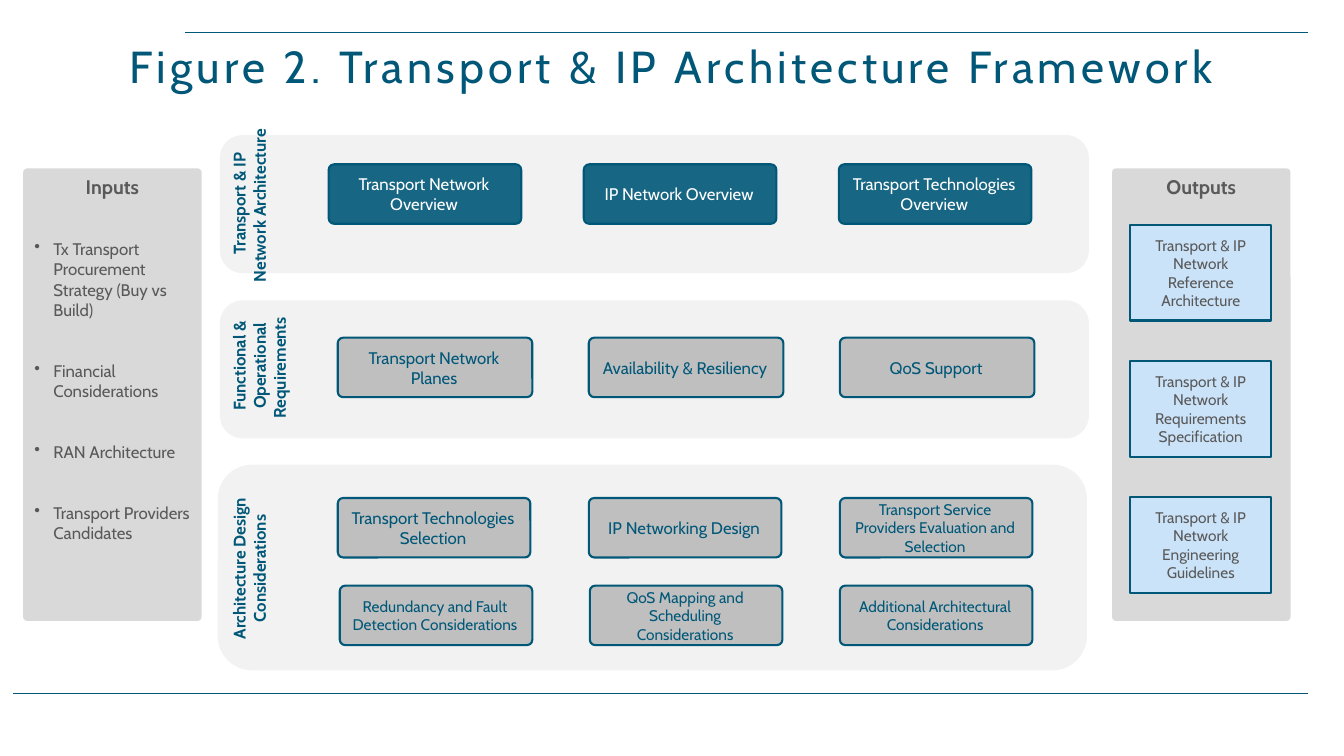
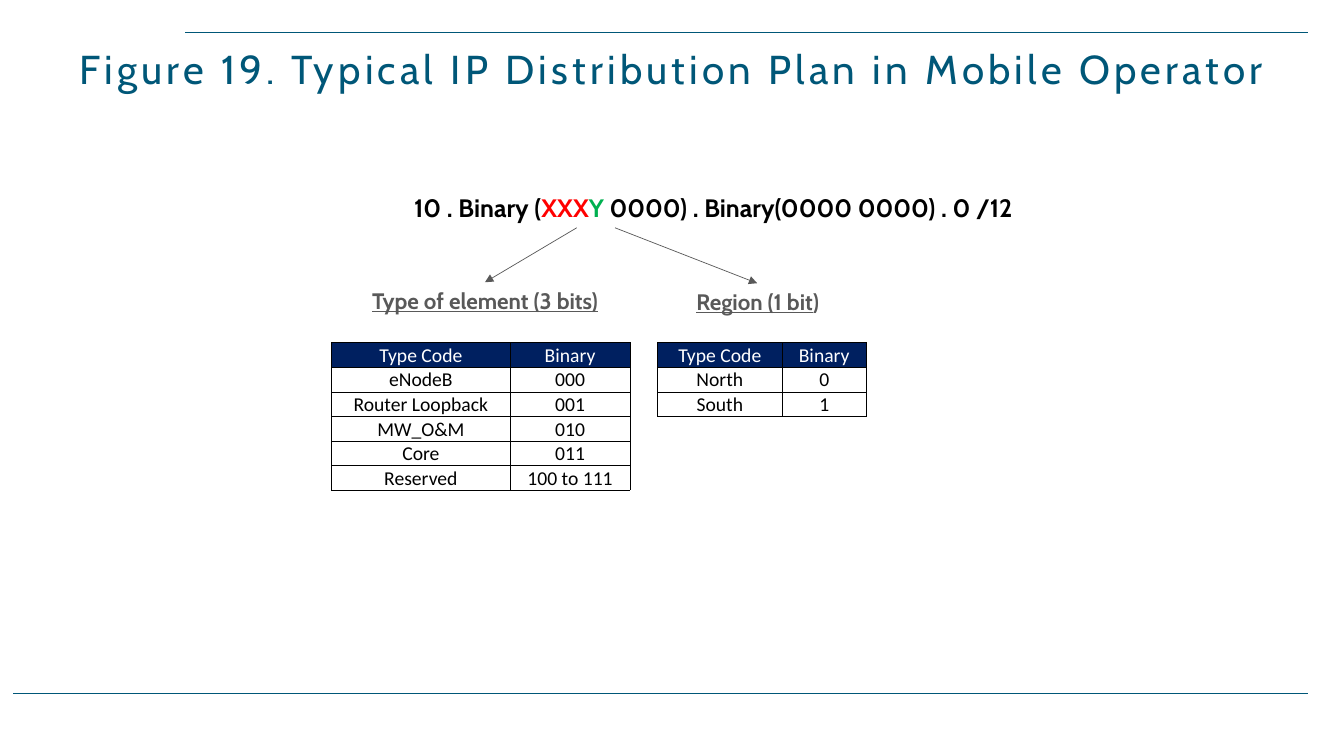
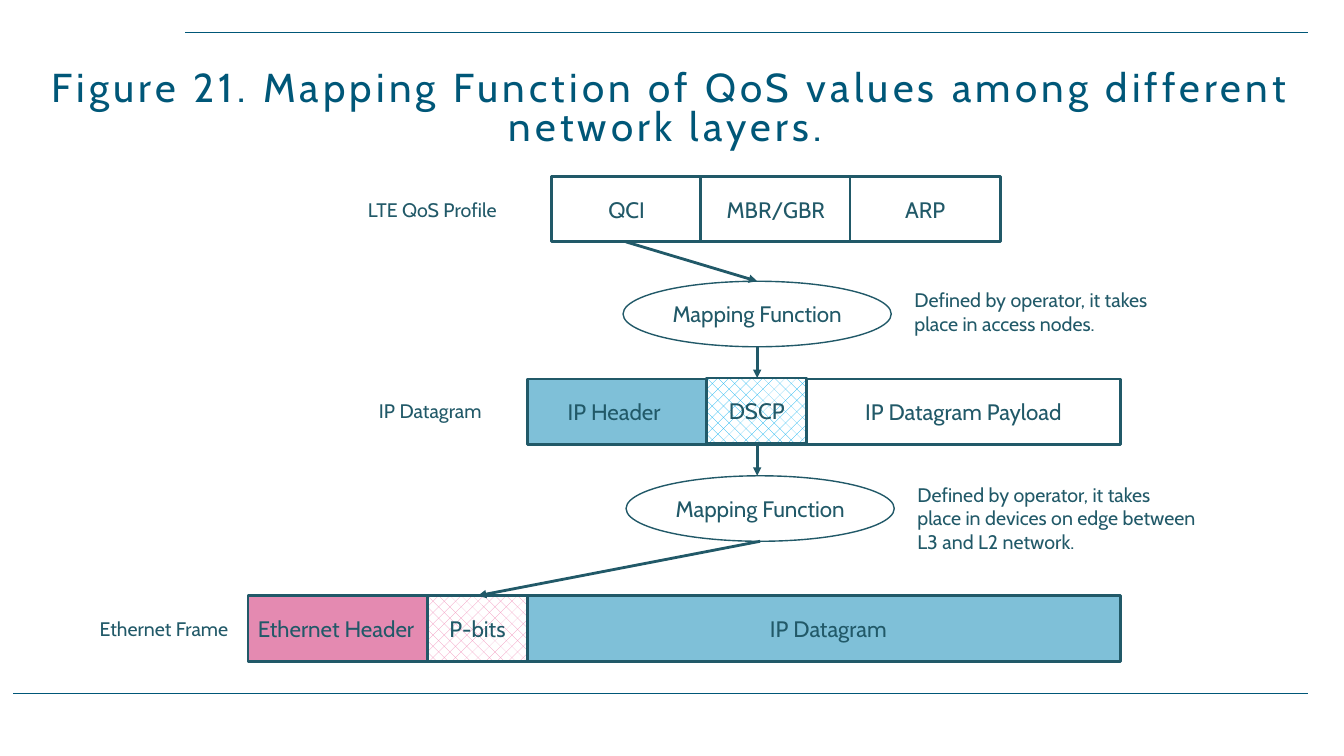
"""Build three slides on transport and IP network architecture."""
from lxml import etree
from pptx import Presentation, util as u
from pptx.dml.color import RGBColor
from pptx.enum import dml, shapes, text
from pptx.oxml.ns import qn

COLORS = {
    "teal": "005778", "ink": "215968", "gray": "595959", "panel": "D9D9D9",
    "band": "F2F2F2", "box": "BFBFBF", "output": "CBE3F9", "navy": "002060",
    "white": "FFFFFF", "black": "000000", "red": "FF0000", "green": "00B050",
    "blue": "0083B3", "magenta": "CA1764", "cyan": "00AEEF", "pink": "F28EB9",
}
ALIGN = {"left": text.PP_ALIGN.LEFT, "center": text.PP_ALIGN.CENTER}
ANCHOR = {"top": text.MSO_ANCHOR.TOP, "middle": text.MSO_ANCHOR.MIDDLE,
          "bottom": text.MSO_ANCHOR.BOTTOM}
KIND = {"rect": shapes.MSO_SHAPE.RECTANGLE, "round": shapes.MSO_SHAPE.ROUNDED_RECTANGLE,
        "ellipse": shapes.MSO_SHAPE.OVAL}


def rgb(name):
    return RGBColor.from_string(COLORS[name])


def write(frame, *lines, align="center", leading=None, before=0, bullet=False, **style):
    """Append lines, each a string or a list of (text, style changes)."""
    for line in lines:
        first = frame.paragraphs[0]
        paragraph = frame.add_paragraph() if first.runs else first
        paragraph.alignment = ALIGN[align]
        paragraph.space_before = u.Pt(before)
        if leading:
            paragraph.line_spacing = leading
        if bullet:
            properties = paragraph._p.get_or_add_pPr()
            properties.set("marL", str(u.Inches(0.19)))
            properties.set("indent", str(u.Inches(-0.19)))
            etree.SubElement(properties, qn("a:buChar")).set("char", "•")
        for words, changes in [(line, {})] if isinstance(line, str) else line:
            look = {"size": 12, "color": "ink", "font": "Cabin", **style, **changes}
            run = paragraph.add_run()
            run.text = words
            run.font.size = u.Pt(look["size"])
            run.font.name = look["font"]
            run.font.bold = look.get("bold", False)
            run.font.underline = look.get("underline", False)
            run.font.color.rgb = rgb(look["color"])
            if "tracking" in look:
                run._r.get_or_add_rPr().set("spc", str(look["tracking"] * 100))


class Deck:
    """Hold the shared style and the current slide."""

    def __init__(self):
        self.show = Presentation()
        self.show.slide_width, self.show.slide_height = u.Inches(13.33), u.Inches(7.5)

    def add_slide(self, title, top=0.36, size=28.8):
        self.slide = self.show.slides.add_slide(self.show.slide_layouts[6])
        self.line((1.84, 0.32), (12.97, 0.32))
        self.line((0.13, 6.88), (12.97, 6.88))
        self.label((0, top, 13.33, 0.6), title, anchor="bottom", leading=0.8,
                   size=size, color="teal", tracking=3)

    def line(self, start, end, color="teal", width=1, arrow=False):
        connector = self.slide.shapes.add_connector(
            shapes.MSO_CONNECTOR.STRAIGHT, *map(u.Inches, start + end))
        connector.line.color.rgb = rgb(color)
        connector.line.width = u.Pt(width)
        properties = connector.element.spPr
        if arrow:
            etree.SubElement(properties.find(qn("a:ln")), qn("a:tailEnd")).set("type", "triangle")
        etree.SubElement(properties, qn("a:effectLst"))

    def label(self, place, *lines, anchor="top", wrap=True, grow=False, vertical=False, **style):
        frame = self.slide.shapes.add_textbox(*map(u.Inches, place)).text_frame
        frame.word_wrap = wrap
        frame.vertical_anchor = ANCHOR[anchor]
        if grow:
            frame.auto_size = text.MSO_AUTO_SIZE.SHAPE_TO_FIT_TEXT
        if vertical:
            frame._txBody.bodyPr.set("vert", "vert270")
        write(frame, *lines, **style)

    def shape(self, place, *lines, kind="rect", fill=None, opacity=None, hatch=None,
              line=None, width=1.5, corner=None, inset=0.1, anchor="middle", **style):
        shape = self.slide.shapes.add_shape(KIND[kind], *map(u.Inches, place))
        shape.shadow.inherit = False
        if corner is not None:
            shape.adjustments[0] = corner
        if hatch:
            shape.fill.patterned()
            shape.fill.pattern = dml.MSO_PATTERN.PERCENT_25
            shape.fill.fore_color.rgb = rgb(hatch)
            shape.fill.back_color.rgb = rgb("white")
        elif fill:
            shape.fill.solid()
            shape.fill.fore_color.rgb = rgb(fill)
        else:
            shape.fill.background()
        if opacity:
            tint = shape.element.spPr.find(qn("a:solidFill"))[0]
            etree.SubElement(tint, qn("a:alpha")).set("val", str(opacity * 1000))
        if line:
            shape.line.color.rgb = rgb(line)
            shape.line.width = u.Pt(width)
        else:
            shape.line.fill.background()
        frame = shape.text_frame
        frame.word_wrap = True
        frame.margin_left = u.Inches(inset)
        frame.vertical_anchor = ANCHOR[anchor]
        write(frame, *lines, **style)
        return frame

    def table(self, left, top, widths, rows):
        height = 0.24
        grid = self.slide.shapes.add_table(
            len(rows), len(widths), u.Inches(left), u.Inches(top),
            u.Inches(sum(widths)), u.Inches(height * len(rows))).table
        grid.first_row = grid.horz_banding = False
        for column, width in zip(grid.columns, widths):
            column.width = u.Inches(width)
        for r, row in enumerate(rows):
            grid.rows[r].height = u.Inches(height)
            for c, words in enumerate(row):
                self.cell(grid.cell(r, c), words, header=r == 0)

    def cell(self, cell, words, header):
        cell.margin_left = cell.margin_right = cell.margin_top = u.Inches(0.01)
        cell.margin_bottom = 0
        cell.vertical_anchor = ANCHOR["middle"]
        properties = cell._tc.get_or_add_tcPr()
        for side in ("lnL", "lnR", "lnT", "lnB"):
            border = etree.SubElement(properties, qn(f"a:{side}"), w=str(u.Pt(0.5)))
            paint = etree.SubElement(border, qn("a:solidFill"))
            etree.SubElement(paint, qn("a:srgbClr"), val=COLORS["black"])
        cell.fill.solid()
        cell.fill.fore_color.rgb = rgb("navy" if header else "white")
        write(cell.text_frame, words, size=14, font="Calibri",
              color="white" if header else "black")


def framework(deck):
    deck.add_slide("Figure 2. Transport & IP Architecture Framework", size=32)
    for left, top, height in ((2.18, 2.98, 1.37), (2.16, 4.61, 2.04), (2.18, 1.34, 1.37)):
        deck.shape((left, top, 8.62, height), kind="round", fill="band")
    for top, width, heading in (
            (1.13, 0.81, "Transport & IP Network Architecture "),
            (2.74, 0.81, "Functional & Operational Requirements "),
            (4.75, 0.61, "Architecture Design Considerations")):
        deck.label((2.22, top, width, 1.78), heading, vertical=True, grow=True,
                   color="teal", bold=True)

    panel = dict(kind="round", corner=0.023, fill="panel", anchor="top",
                 size=14, color="gray", bold=True)
    inputs = deck.shape((0.23, 1.67, 1.77, 4.49), "Inputs", **panel)
    write(inputs, "Tx Transport Procurement Strategy (Buy vs Build)", "Financial Considerations",
          "RAN Architecture", "Transport Providers Candidates",
          align="left", before=29.2, bullet=True, color="gray")
    deck.shape((11.03, 1.67, 1.77, 4.49), "Outputs", **panel)
    for i, output in enumerate(("Reference Architecture", "Requirements Specification",
                                "Engineering Guidelines")):
        deck.shape((11.21, 2.23 + 1.35 * i, 1.4, 0.95), f"Transport & IP Network {output}",
                   fill="output", line="teal", size=11, color="gray")

    overview = dict(fill="teal", opacity=90, color="white")
    detail = dict(fill="box", color="teal")
    for left, top, step, width, look, topics in (
            (3.26, 1.63, 2.53, 1.91, overview,
             ("Transport Network Overview", "IP Network Overview",
              "Transport Technologies Overview")),
            (3.35, 3.35, 2.49, 1.93, detail,
             ("Transport Network Planes", "Availability & Resiliency", "QoS Support")),
            (3.35, 4.94, 2.49, 1.91, detail,
             ("Transport Technologies Selection", "IP Networking Design",
              "Transport Service Providers Evaluation and Selection")),
            (3.37, 5.81, 2.48, 1.91, detail,
             ("Redundancy and Fault Detection Considerations",
              "QoS Mapping and Scheduling Considerations",
              "Additional Architectural Considerations"))):
        for i, topic in enumerate(topics):
            deck.shape((left + step * i, top, width, 0.59), topic, kind="round", corner=0.091,
                       line="teal", inset=0.08, size=11 if len(topic) > 35 else 12, **look)


def distribution_plan(deck):
    deck.add_slide("Figure 19. Typical IP Distribution Plan in Mobile Operator")
    deck.label((4.01, 1.86, 6.24, 0.4),
               [("10 . Binary (", {}), ("XXX", {"color": "red"}), ("Y", {"color": "green"}),
                (" 0000) . Binary(0000 0000) . 0 /12", {})],
               wrap=False, grow=True, align="left", size=18, color="black", bold=True)
    heading = dict(size=16, color="gray", bold=True, underline=True)
    deck.label((3.29, 2.8, 3.04, 0.56), "Type of element (3 bits)", **heading)
    deck.label((6.68, 2.81, 1.67, 0.59),
               [("Region (1 bit", {}), (")", {"underline": False})], **heading)
    for start, end in (((5.72, 2.26), (4.81, 2.8)), ((6.1, 2.26), (7.51, 2.81))):
        deck.line(start, end, color="gray", width=0.5, arrow=True)
    columns = ("Type Code", "Binary")
    deck.table(3.29, 3.4, (1.77, 1.19),
               (columns, ("eNodeB", "000"), ("Router Loopback", "001"), ("MW_O&M", "010"),
                ("Core", "011"), ("Reserved", "100 to 111")))
    deck.table(6.52, 3.4, (1.24, 0.83), (columns, ("North", "0"), ("South", "1")))


def qos_mapping(deck):
    deck.add_slide("Figure 21. Mapping Function of QoS values among different network layers. ",
                   top=0.93)
    field = dict(line="ink", width=2, size=16)
    for i, parameter in enumerate(("QCI", "MBR/GBR", "ARP")):
        deck.shape((5.47 + 1.48 * i, 1.75, 1.49, 0.65), parameter, fill="white", **field)
    for left, top, width, name, look in (
            (8, 3.76, 3.11, "IP Datagram Payload", dict(fill="white")),
            (5.23, 3.76, 2.77, "IP Header",
             dict(fill="blue", opacity=50, align="left", inset=0.4)),
            (7.01, 3.75, 0.99, "DSCP", dict(hatch="cyan")),
            (5.23, 5.91, 5.88, "IP Datagram", dict(fill="blue", opacity=50, inset=0.19)),
            (2.46, 5.91, 2.77, "Ethernet Header",
             dict(fill="magenta", opacity=50, align="left")),
            (4.24, 5.91, 0.99, "P-bits", dict(hatch="pink"))):
        deck.shape((left, top, width, 0.65), name, **field, **look)
    for left, top in ((6.18, 2.79), (6.21, 4.72)):
        deck.shape((left, top, 2.66, 0.65), "Mapping Function", kind="ellipse",
                   line="ink", width=1, size=16)
    for place, lines in (
            ((3.55, 1.91, 1.51, 0.34), ("LTE QoS Profile",)),
            ((3.66, 3.91, 1.28, 0.34), ("IP Datagram",)),
            ((0.89, 6.07, 1.58, 0.34), ("Ethernet Frame ",)),
            ((8.97, 2.81, 2.71, 0.57),
             ("Defined by operator, it takes ", "place in access nodes.")),
            ((9, 4.74, 3.19, 0.81),
             ("Defined by operator, it takes ", "place in devices on edge between ",
              "L3 and L2 network."))):
        deck.label(place, *lines, wrap=False, grow=True, align="left", size=14)
    for start, end in (((6.21, 2.4), (7.51, 2.79)), ((7.51, 3.44), (7.51, 3.75)),
                       ((7.51, 4.4), (7.51, 4.72)), ((7.54, 5.37), (4.74, 5.91))):
        deck.line(start, end, color="ink", width=2, arrow=True)


deck = Deck()
framework(deck)
distribution_plan(deck)
qos_mapping(deck)
deck.show.save("out.pptx")
